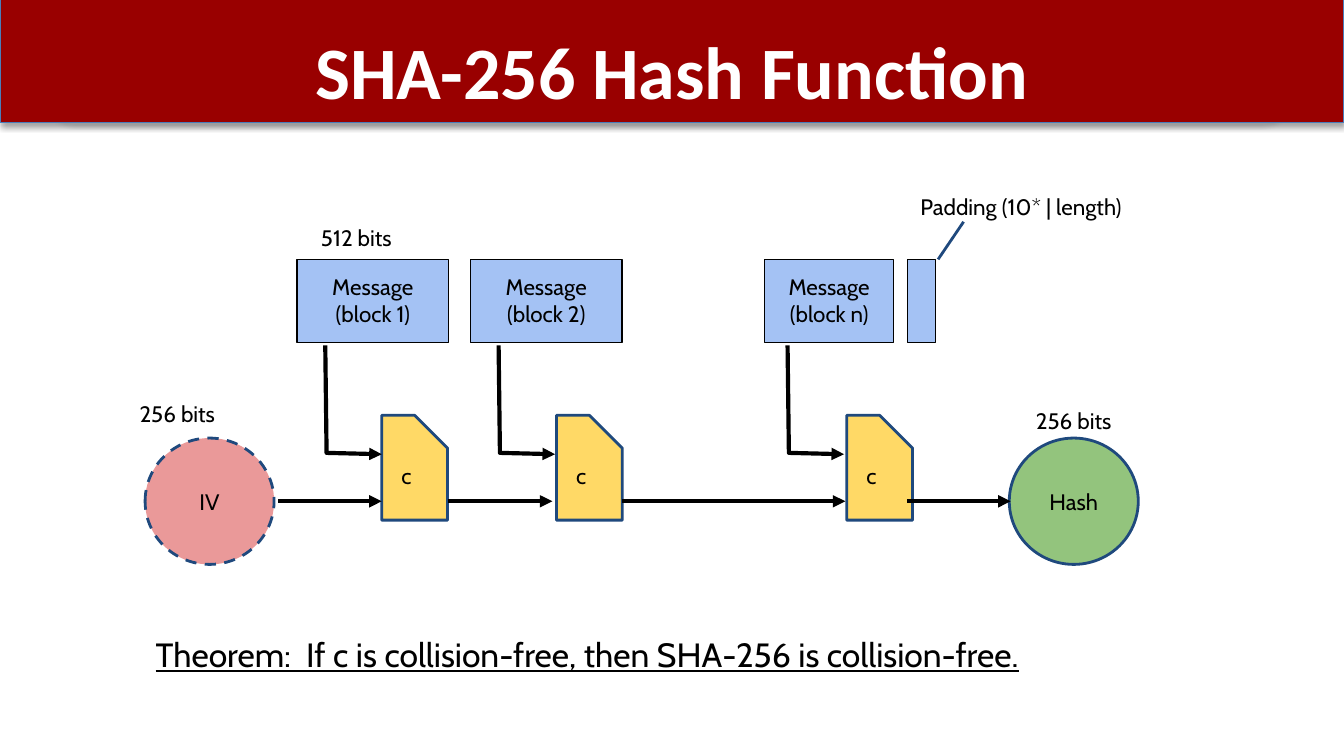
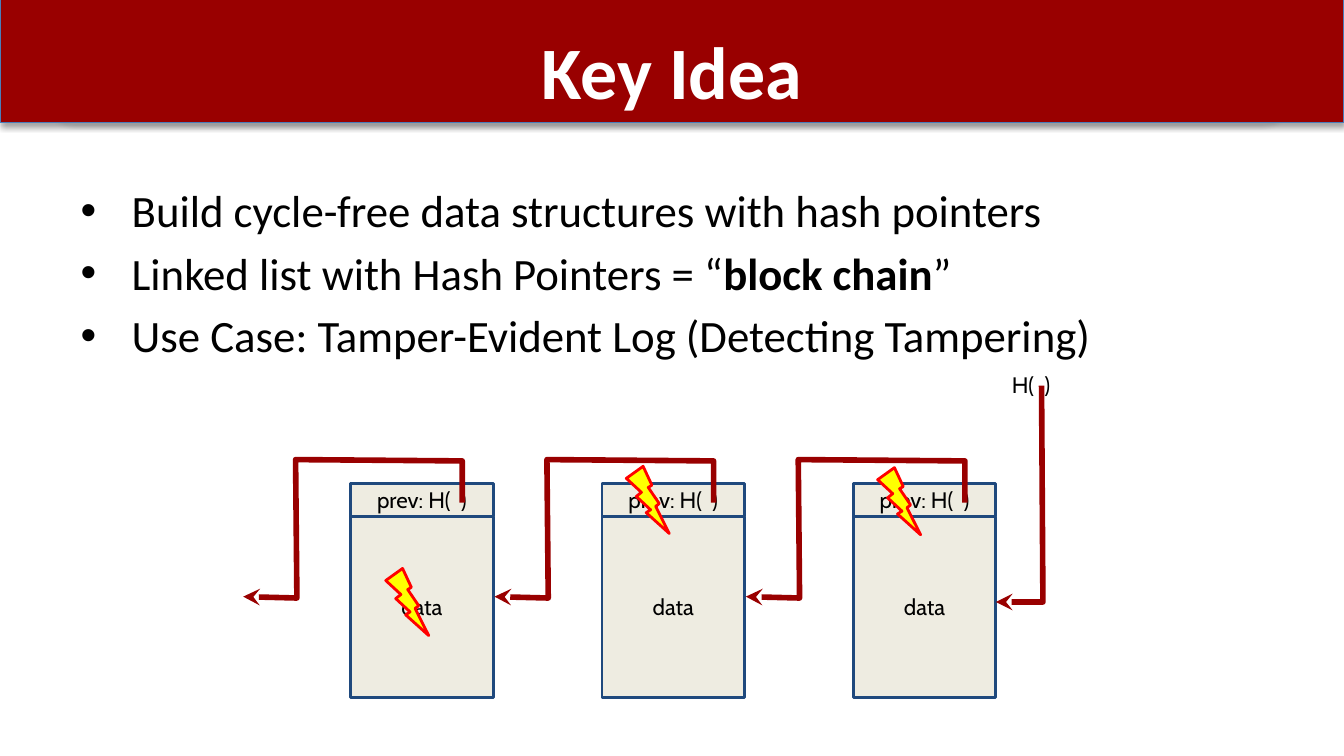
from typing import NamedTuple, Optional

from lxml import etree
from pptx import Presentation
from pptx.dml.color import RGBColor
from pptx.enum.dml import MSO_LINE
from pptx.enum.shapes import MSO_CONNECTOR, MSO_SHAPE
from pptx.enum.text import MSO_ANCHOR, MSO_AUTO_SIZE, PP_ALIGN
from pptx.oxml.ns import qn
from pptx.util import Inches, Pt

# Enum members
RECT = MSO_SHAPE.RECTANGLE
ROUNDED = MSO_SHAPE.ROUNDED_RECTANGLE
OVAL = MSO_SHAPE.OVAL
SNIPPED = MSO_SHAPE.SNIP_1_RECTANGLE
BOLT = MSO_SHAPE.LIGHTNING_BOLT
STRAIGHT = MSO_CONNECTOR.STRAIGHT
DASH = MSO_LINE.DASH
TOP, MIDDLE = MSO_ANCHOR.TOP, MSO_ANCHOR.MIDDLE
LEFT, CENTER = PP_ALIGN.LEFT, PP_ALIGN.CENTER
NO_FIT = MSO_AUTO_SIZE.NONE

# Colours and fonts
BLACK = RGBColor(0x00, 0x00, 0x00)
WHITE = RGBColor(0xFF, 0xFF, 0xFF)
DARK_RED = RGBColor(0x99, 0x00, 0x00)
BAND_BLUE = RGBColor(0x4A, 0x7D, 0xBA)
BAND_PURPLE = RGBColor(0x7C, 0x5F, 0x9F)
NAVY = RGBColor(0x1F, 0x49, 0x7D)
PINK = RGBColor(0xEA, 0x99, 0x99)
GREEN = RGBColor(0x93, 0xC4, 0x7D)
LIGHT_BLUE = RGBColor(0xA4, 0xC2, 0xF4)
GOLD = RGBColor(0xFF, 0xD9, 0x66)
CREAM = RGBColor(0xEE, 0xEC, 0xE1)
YELLOW = RGBColor(0xFF, 0xFF, 0x00)
RED = RGBColor(0xFF, 0x00, 0x00)
TITLE_FONT = "Calibri"
DIAGRAM_FONT = "Cabin"

Point = tuple[float, float]


class Style(NamedTuple):
    kind: MSO_SHAPE
    fill: Optional[RGBColor]
    line: RGBColor
    weight: float = 1.5
    anchor: MSO_ANCHOR = MIDDLE


class Box(NamedTuple):
    left: float
    top: float
    width: float
    height: float


class Label(NamedTuple):
    text: str
    box: Box
    size: float = 12
    underline: bool = False


class Stage(NamedTuple):
    """One step of the hash chain: message block, its feed, compression box."""
    name: str
    message_left: float
    message_width: float
    feed_left: float
    compress_left: float


TITLE_SHADE = Style(ROUNDED, None, BAND_PURPLE, 0.75)
TITLE_BAND = Style(RECT, DARK_RED, BAND_BLUE, 0.75)
MESSAGE = Style(RECT, LIGHT_BLUE, BLACK, 0.75, TOP)
COMPRESS = Style(SNIPPED, GOLD, NAVY)
START = Style(OVAL, PINK, NAVY)
DIGEST = Style(OVAL, GREEN, NAVY)
CHAIN_BLOCK = Style(RECT, CREAM, NAVY)
TAMPER = Style(BOLT, YELLOW, RED)

# Hash function diagram
LABELS = [
    Label("256 bits", Box(0.94, 2.88, 0.96, 0.5)),
    Label("256 bits", Box(7.61, 2.93, 0.96, 0.5)),
    Label("512 bits", Box(2.29, 1.57, 0.96, 0.5)),
    Label("Theorem:  If c is collision-free, then SHA-256 is collision-free.",
          Box(1.06, 4.62, 7.25, 0.5), 18, True),
    Label("Padding (10* | length)", Box(6.75, 1.34, 1.96, 0.4)),
]
STAGES = [
    Stage("block 1", 2.21, 1.13, 2.42, 2.84),
    Stage("block 2", 3.5, 1.13, 3.71, 4.14),
    Stage("block n", 5.69, 0.96, 5.86, 6.3),
]
MESSAGE_TOP, MESSAGE_HEIGHT = 1.93, 0.62
STATE_Y = 3.73
STATE_ARROWS = [(2.07, 2.84), (3.33, 4.11), (4.63, 6.29), (6.75, 7.52)]

# Block chain diagram
BULLETS = [
    [("Build cycle-free data structures with hash pointers", False)],
    [("Linked list with Hash Pointers = “", False), ("block chain", True),
     ("”", False)],
    [("Use Case: Tamper-Evident Log (Detecting Tampering)", False)],
]
CHAIN_LEFT, CHAIN_STEP, CHAIN_WIDTH = 2.61, 1.87, 1.06
POINTER_PATH = [(0.83, 3.74), (0.83, 3.43), (-0.41, 3.42), (-0.4, 4.45),
                (-0.8, 4.44)]
HEAD_PATH = [(7.75, 2.87), (7.76, 4.48), (7.41, 4.48)]
BOLTS = [(2.87, 4.23), (4.66, 3.47), (6.53, 3.48)]


def place(box: Box) -> list:
    return [Inches(value) for value in box]


def write(shape, text: str, align=CENTER, anchor=MIDDLE, size: float = 12,
          underline: bool = False) -> None:
    frame = shape.text_frame
    frame.word_wrap = True
    frame.vertical_anchor = anchor
    frame.margin_left = frame.margin_right = Inches(0.1)
    frame.margin_top = frame.margin_bottom = Inches(0.1)
    frame.text = text
    for paragraph in frame.paragraphs:
        paragraph.alignment = align
        font = paragraph.runs[0].font
        font.name, font.size = DIAGRAM_FONT, Pt(size)
        font.color.rgb = BLACK
        if underline:
            font.underline = True


def add_box(slide, style: Style, box: Box, text: str = ""):
    shape = slide.shapes.add_shape(style.kind, *place(box))
    shape.shadow.inherit = False
    if style.fill is None:
        shape.fill.background()
    else:
        shape.fill.solid()
        shape.fill.fore_color.rgb = style.fill
    shape.line.color.rgb = style.line
    shape.line.width = Pt(style.weight)
    if text:
        write(shape, text, anchor=style.anchor)
    return shape


def add_label(slide, label: Label) -> None:
    text_box = slide.shapes.add_textbox(*place(label.box))
    write(text_box, label.text, LEFT, TOP, label.size, label.underline)


def add_arrowhead(line_shape, head: str) -> None:
    outline = line_shape.element.spPr.find(qn("a:ln"))
    etree.SubElement(outline, qn("a:tailEnd"), type=head)


def add_line(slide, start: Point, end: Point, color: RGBColor, weight: float,
             head: str = "") -> None:
    ends = [Inches(value) for value in (*start, *end)]
    connector = slide.shapes.add_connector(STRAIGHT, *ends)
    connector.line.color.rgb = color
    connector.line.width = Pt(weight)
    if head:
        add_arrowhead(connector, head)
    etree.SubElement(connector.element.spPr, qn("a:effectLst"))


def add_bent_arrow(slide, points: list[Point], color: RGBColor, weight: float,
                   head: str) -> None:
    corners = [(Inches(x), Inches(y)) for x, y in points]
    builder = slide.shapes.build_freeform(*corners[0])
    builder.add_line_segments(corners[1:], close=False)
    arrow = builder.convert_to_shape()
    arrow.shadow.inherit = False
    arrow.fill.background()
    arrow.line.color.rgb = color
    arrow.line.width = Pt(weight)
    add_arrowhead(arrow, head)


def add_soft_shadow(shape) -> None:
    effects = shape.element.spPr.find(qn("a:effectLst"))
    shadow = etree.SubElement(
        effects, qn("a:outerShdw"), blurRad=str(Pt(3.1)), dist=str(Pt(1.8)),
        dir="5400000", rotWithShape="0")
    color = etree.SubElement(shadow, qn("a:srgbClr"), val="000000")
    etree.SubElement(color, qn("a:alpha"), val="35000")


def move_band_to_master(prs, slide) -> None:
    """Draw the title band once and hand it to the slide master."""
    parts = [
        add_box(slide, TITLE_SHADE, Box(0.4, 0, 9.13, 0.89)),
        add_box(slide, TITLE_BAND, Box(0, -0.01, 10, 0.92)),
    ]
    for index, part in enumerate(parts):
        add_soft_shadow(part)
        part.element.nvSpPr.cNvPr.set("id", str(20 + index))
        prs.slide_master.shapes.element.insert(2 + index, part.element)


def set_title(slide, text: str) -> None:
    title = slide.shapes.title
    title.left, title.top, title.width, title.height = place(
        Box(0.5, 0.14, 9, 0.68))
    frame = title.text_frame
    frame.text = text
    frame.auto_size = NO_FIT
    frame.vertical_anchor = TOP
    frame.paragraphs[0].alignment = CENTER
    font = frame.paragraphs[0].runs[0].font
    font.name, font.size, font.bold = TITLE_FONT, Pt(39.6), True
    font.color.rgb = WHITE


def set_bullets(body) -> None:
    body.left, body.top, body.width, body.height = place(
        Box(0.5, 1.31, 9, 4.18))
    frame = body.text_frame
    frame.auto_size = NO_FIT
    for index, pieces in enumerate(BULLETS):
        paragraph = frame.add_paragraph() if index else frame.paragraphs[0]
        paragraph.space_before = Pt(4.8 if index else 0)
        properties = paragraph._p.get_or_add_pPr()
        properties.set("marL", str(Inches(0.38)))
        properties.set("indent", str(Inches(-0.38)))
        color = etree.SubElement(properties, qn("a:buClr"))
        etree.SubElement(color, qn("a:srgbClr"), val="000000")
        etree.SubElement(properties, qn("a:buChar"), char="•")
        for text, bold in pieces:
            run = paragraph.add_run()
            run.text = text
            run.font.name, run.font.size = TITLE_FONT, Pt(24)
            run.font.bold = bold
            run.font.color.rgb = BLACK


def build_hash_function(slide) -> None:
    set_title(slide, "SHA-256 Hash Function")
    for label in LABELS:
        add_label(slide, label)

    # Start value and digest
    start = add_box(slide, START, Box(1.08, 3.26, 0.96, 0.94), "IV")
    start.line.dash_style = DASH
    add_box(slide, DIGEST, Box(7.51, 3.26, 0.96, 0.94), "Hash")

    # Message blocks feeding the compression boxes
    for stage in STAGES:
        add_box(slide, MESSAGE,
                Box(stage.message_left, MESSAGE_TOP, stage.message_width,
                    MESSAGE_HEIGHT), f"Message\n({stage.name})")
        compress = add_box(slide, COMPRESS,
                           Box(stage.compress_left, 3.09, 0.49, 0.78), "c")
        compress.adjustments[0] = 0.5
        x = stage.feed_left
        add_bent_arrow(slide, [(x, 2.57), (x + 0.01, 3.37), (x + 0.42, 3.38)],
                       BLACK, 2.25, "triangle")

    # Padding and its pointer line
    add_box(slide, MESSAGE, Box(6.75, MESSAGE_TOP, 0.21, MESSAGE_HEIGHT))
    add_line(slide, (7.17, 1.65), (6.98, MESSAGE_TOP), NAVY, 1.5)

    # State passed along the chain
    for left, right in STATE_ARROWS:
        add_line(slide, (left, STATE_Y), (right, STATE_Y), BLACK, 2.25,
                 "triangle")


def build_key_idea(slide) -> None:
    set_title(slide, "Key Idea")
    set_bullets(slide.placeholders[1])

    # Blocks, then the hash pointers over them
    block_lefts = [CHAIN_LEFT + CHAIN_STEP * i for i in range(3)]
    for left in block_lefts:
        add_box(slide, CHAIN_BLOCK, Box(left, 3.84, CHAIN_WIDTH, 1.35), "data")
        add_box(slide, CHAIN_BLOCK, Box(left, 3.6, CHAIN_WIDTH, 0.24),
                "prev: H(  )")
    add_label(slide, Label("H(  )", Box(7.43, 2.66, 1.12, 0.34)))
    pointers = [[(left + dx, y) for dx, y in POINTER_PATH]
                for left in block_lefts]
    for points in [*pointers, HEAD_PATH]:
        add_bent_arrow(slide, points, DARK_RED, 3, "stealth")

    # Tampering marks
    for left, top in BOLTS:
        add_box(slide, TAMPER, Box(left, top, 0.32, 0.5))


def main() -> None:
    prs = Presentation()
    # Widescreen, 16:9
    prs.slide_width = Inches(10)
    prs.slide_height = Inches(10 * 9 / 16)
    title_and_content, title_only = prs.slide_layouts[1], prs.slide_layouts[5]
    hash_slide = prs.slides.add_slide(title_only)
    move_band_to_master(prs, hash_slide)
    build_hash_function(hash_slide)
    build_key_idea(prs.slides.add_slide(title_and_content))
    prs.save("out.pptx")


if __name__ == "__main__":
    main()
